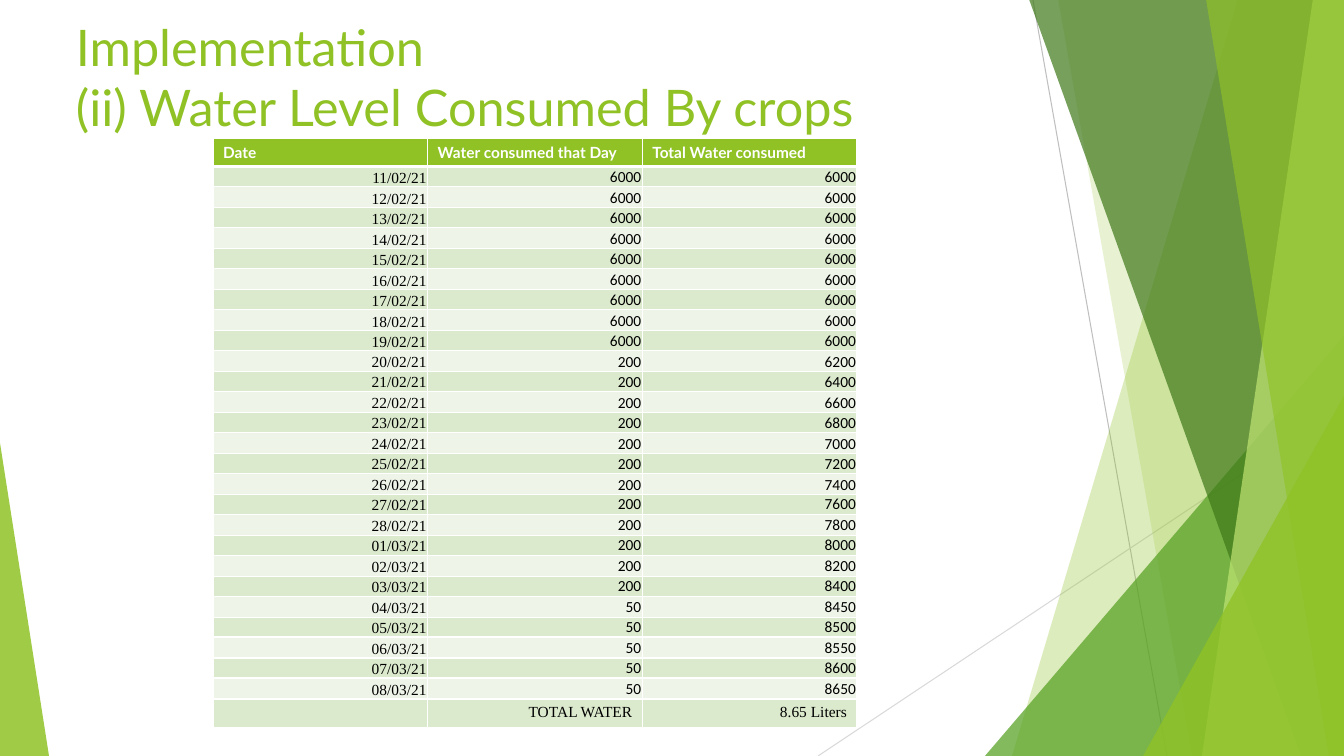
from dataclasses import dataclass

from lxml import etree
from pptx import Presentation
from pptx import util as u
from pptx.dml.color import RGBColor
from pptx.enum import shapes, text
from pptx.oxml.ns import qn


@dataclass(frozen=True)
class Theme:
    """Colours, fonts and type sizes of the slide."""
    lime: str = "90C226"
    green: str = "54A021"
    forest: str = "3F7819"
    pale: str = "C0E474"
    band_dark: str = "DBE9CD"
    band_light: str = "EEF4E8"
    white: str = "FFFFFF"
    black: str = "000000"
    line_dark: str = "BFBFBF"
    line_light: str = "D9D9D9"
    heading: str = "Lato"
    dates: str = "Times New Roman"
    numbers: str = "Calibri"
    title_size: int = 36
    table_size: int = 11


theme = Theme()
PX = 914400 / 100.8
WIDTH, HEIGHT = 1344, 756


def paint(shape, color, opacity):
    """Give a shape a translucent fill with no outline or shadow."""
    shape.shadow.inherit = False
    shape.line.fill.background()
    shape.fill.solid()
    shape.fill.fore_color.rgb = RGBColor.from_string(color)
    tint = shape.fill._xPr.find(".//" + qn("a:srgbClr"))
    etree.SubElement(tint, qn("a:alpha"), val=str(opacity * 1000))


def style(para, font, size, color, bold=False):
    """Format every span of a paragraph."""
    values = {"name": font, "size": u.Pt(size), "bold": bold}
    for span in para.runs:
        for name, value in values.items():
            setattr(span.font, name, value)
        span.font.color.rgb = RGBColor.from_string(color)


deck = Presentation()
deck.slide_width, deck.slide_height = round(WIDTH * PX), round(HEIGHT * PX)
page = deck.slides.add_slide(deck.slide_layouts[6])

# Thin lines behind the facets
for x1, y1, x2, y2, color in [
    (1033, 0, 1167, HEIGHT, theme.line_dark),
    (WIDTH, 406, 818, HEIGHT, theme.line_light),
]:
    ends = [round(n * PX) for n in (x1, y1, x2, y2)]
    ray = page.shapes.add_connector(shapes.MSO_CONNECTOR.STRAIGHT, *ends)
    ray.line.color.rgb = RGBColor.from_string(color)
    ray.line.width = u.Pt(0.75)
    etree.SubElement(ray._element.spPr, qn("a:effectLst"))

# Facets: a band is (top x, bottom x) up to the right edge,
# a triangle is (left, top, width, height, apex)
for geometry, color, opacity in [
    ((1238, 1012), theme.lime, 30),
    ((1058, 1192), theme.lime, 20),
    ((985, 336, 359, 420, 1), theme.green, 72),
    ((1029, 1301), theme.forest, 70),
    ((1313, 1202), theme.pale, 70),
    ((1206, 1329), theme.lime, 65),
    ((1143, 396, 201, 360, 1), theme.lime, 80),
    ((0, 443, 49, 313, 0), theme.lime, 85),
]:
    if len(geometry) == 2:
        top_x, bottom_x = geometry
        outline = page.shapes.build_freeform(top_x, -1, scale=PX)
        outline.add_line_segments([(WIDTH, -1), (WIDTH, HEIGHT), (bottom_x, HEIGHT)])
        facet = outline.convert_to_shape()
    else:
        *frame, apex = geometry
        facet = page.shapes.add_shape(
            shapes.MSO_SHAPE.ISOSCELES_TRIANGLE, *(round(n * PX) for n in frame))
        facet.adjustments[0] = apex
    paint(facet, color, opacity)

# Title
title = page.shapes.add_textbox(*(round(n * PX) for n in (66, 11, 948, 145)))
box = title.text_frame
box.word_wrap = True
box.vertical_anchor = text.MSO_ANCHOR.TOP
box.text = "Implementation\v(ii) Water Level Consumed By crops"
style(box.paragraphs[0], theme.heading, theme.title_size, theme.lime)

# Water table: the first reading stays level for nine days, then each day adds to it
dates = [f"{day:02}/02/21" for day in range(11, 29)]
dates += [f"{day:02}/03/21" for day in range(1, 9)]
consumed = [6000] * 9 + [200] * 12 + [50] * 5
rows = [("Date ", "Water consumed that Day", "Total Water consumed")]
total = 6000
for index, (date, amount) in enumerate(zip(dates, consumed)):
    total += amount if index >= 9 else 0
    rows.append((date, str(amount), str(total)))
rows.append(("", "TOTAL WATER", "8.65 Liters"))
last = len(rows) - 1

heights = [28] + [20 + index % 2 for index in range(len(dates))] + [27]
frame = (213, 138, 3 * 215 - 1, sum(heights))
table = page.shapes.add_table(len(rows), 3, *(round(n * PX) for n in frame)).table
for column in table.columns:
    column.width = round(frame[2] / 3 * PX)

for r, (row, height) in enumerate(zip(rows, heights)):
    table.rows[r].height = round(height * PX)
    for c, words in enumerate(row):
        cell = table.cell(r, c)
        for side in "LRTB":
            thick = (r, side) in [(0, "B"), (1, "T")]
            border = etree.SubElement(cell._tc.get_or_add_tcPr(), qn("a:ln" + side),
                                      w=str(u.Pt(3 if thick else 1)))
            ink = etree.SubElement(border, qn("a:solidFill"))
            etree.SubElement(ink, qn("a:srgbClr"), val=theme.white)
        band = theme.band_dark if r % 2 else theme.band_light
        cell.fill.solid()
        cell.fill.fore_color.rgb = RGBColor.from_string(theme.lime if r == 0 else band)

        cell.text = words
        para = cell.text_frame.paragraphs[0]
        if not words:
            para._p.get_or_add_endParaRPr().set("sz", str(theme.table_size * 100))
        if r == 0:
            style(para, theme.heading, theme.table_size, theme.white, bold=True)
            continue
        para.alignment = text.PP_ALIGN.RIGHT
        font = theme.dates if c == 0 or r == last else theme.numbers
        style(para, font, theme.table_size, theme.black)
        if r < last:
            tight = {"margin_left": round(PX), "margin_right": round(PX),
                     "margin_top": round(PX), "margin_bottom": 0,
                     "vertical_anchor": text.MSO_ANCHOR.BOTTOM}
            for name, value in tight.items():
                setattr(cell, name, value)

deck.save("out.pptx")
